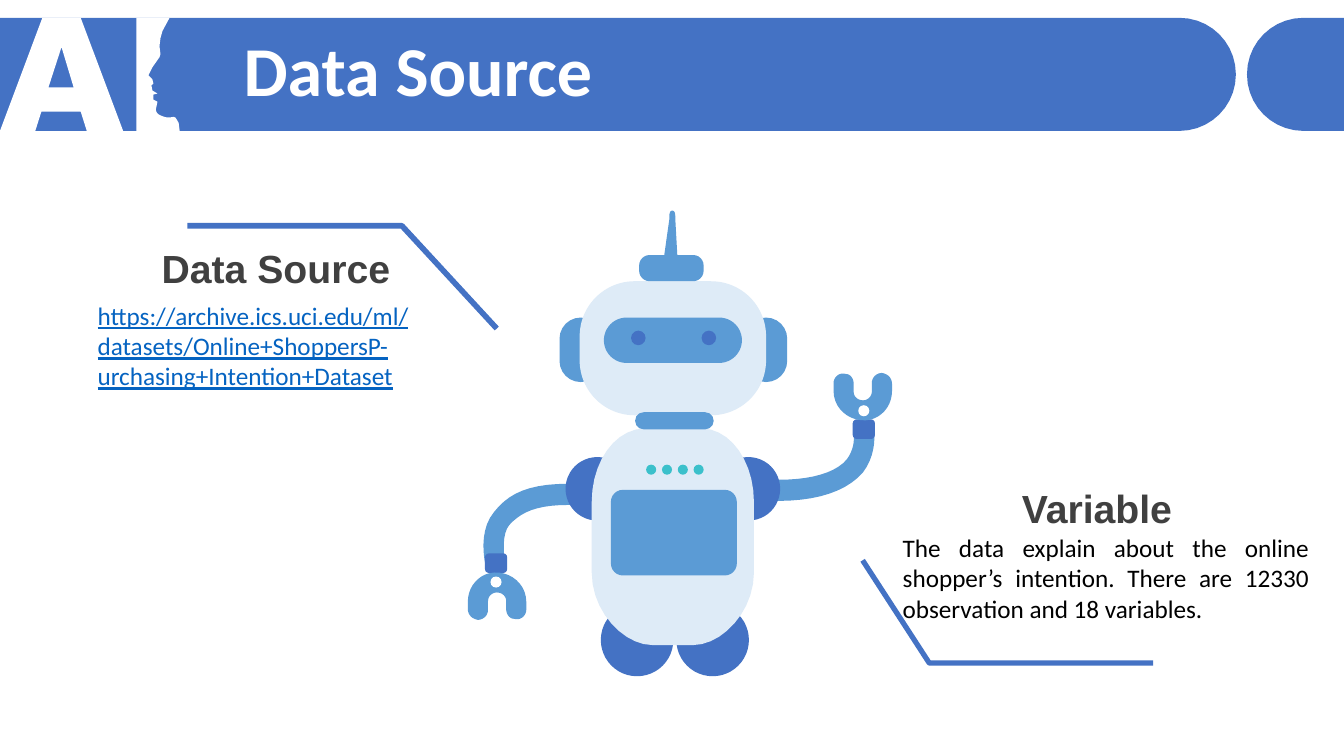
from pptx import Presentation
from pptx.dml.color import RGBColor
from pptx.enum.shapes import MSO_SHAPE
from pptx.enum.text import MSO_ANCHOR, PP_ALIGN
from pptx.util import Cm, Pt

HUES = {
    "blue": "4472C4", "sky": "5B9BD5", "pale": "DEEBF7", "teal": "3BC0CB",
    "white": "FFFFFF", "black": "000000", "gray": "404040", "link": "0563C1",
}
STEPS = 10


def hue(name):
    return RGBColor.from_string(HUES[name])


def paint(shape, name):
    shape.shadow.inherit = False
    shape.fill.solid()
    shape.fill.fore_color.rgb = hue(name)
    shape.line.fill.background()


def bend(start, curve):
    pts = [start, curve[:2], curve[2:4], curve[4:]]
    for step in range(1, STEPS + 1):
        t = step / STEPS
        parts = ((1 - t) ** 3, 3 * t * (1 - t) ** 2, 3 * t * t * (1 - t), t ** 3)
        yield tuple(sum(w * p[k] for w, p in zip(parts, pts)) for k in (0, 1))


def flatten(path):
    pts = []
    for item in path:
        pts.extend([item] if len(item) == 2 else bend(pts[-1], item))
    return pts


def trace(slide, spot, unit, paths, close=True):
    left, top = spot
    maker = None
    for path in paths:
        pts = [(Cm(left + x * unit), Cm(top + y * unit)) for x, y in flatten(path)]
        if maker is None:
            maker = slide.shapes.build_freeform(*pts[0])
        else:
            maker.move_to(*pts[0])
        maker.add_line_segments(pts[1:], close=close)
    return maker.convert_to_shape()


def write(slide, box, text, font, size, color, bold=False, line=False,
          align=PP_ALIGN.LEFT, anchor=MSO_ANCHOR.TOP, space=None):
    frame = slide.shapes.add_textbox(*map(Cm, box)).text_frame
    frame.word_wrap = True
    frame.vertical_anchor = anchor
    frame.text = text
    para = frame.paragraphs[0]
    para.alignment = align
    para.line_spacing = space
    face = para.runs[0].font
    face.name, face.size, face.bold = font, Pt(size), bold
    face.underline = line
    face.color.rgb = hue(color)


def header(slide, box, title):
    left, top, width, height = box
    unit = height / 112
    bar = [(0, 0), (1168, 0), (1199, 0, 1224, 25, 1224, 56),
           (1224, 87, 1199, 112, 1168, 112), (0, 112)]
    end = [(1291, 0), (1333, 0), (1333, 112), (1291, 112),
           (1260, 112, 1235, 87, 1235, 56), (1235, 25, 1260, 0, 1291, 0)]
    letter = [(42, 0), (80, 0), (122, 112), (86, 112), (80, 93), (41, 93),
              (35, 112), (0, 112)]
    hole = [(61, 29), (48, 69), (73, 69)]
    face = [(135, 0), (168, 0), (161, 13), (159, 20), (158, 28), (159, 36),
            (158, 39), (151, 49), (147, 57), (151, 61), (152, 65), (150, 67),
            (151, 72), (156, 75), (152, 76), (152, 81), (156, 83), (155, 88),
            (154, 91, 154, 95, 160, 97), (164, 99, 168, 99, 172, 98),
            (174, 99), (177, 104), (178, 112), (135, 112)]
    for paths, color in (([bar], "blue"), ([letter, hole], "white"),
                         ([face], "white"), ([end], "blue")):
        paint(trace(slide, (left, top), unit, paths), color)
    write(slide, (left + 5.89, top + 0.48, width - 6.7, 2), title, "Calibri", 50,
          "white", bold=True, anchor=MSO_ANCHOR.MIDDLE, space=0.8)


def robot(slide, box):
    left, top, width, height = box
    unit = width / 421

    def part(kind, x, y, w, h, color, curve=None):
        shape = slide.shapes.add_shape(kind, Cm(left + x * unit), Cm(top + y * unit),
                                       Cm(w * unit), Cm(h * unit))
        if curve is not None:
            shape.adjustments[0] = curve
        paint(shape, color)

    def disc(x, y, size, color):
        part(MSO_SHAPE.OVAL, x, y, size, size, color)

    def block(x, y, w, h, color, curve):
        part(MSO_SHAPE.ROUNDED_RECTANGLE, x, y, w, h, color, curve)

    def form(path, color):
        paint(trace(slide, (left, top), unit, [path]), color)

    def claw(x, y, turn):
        def place(px, py):
            return (x + 58 - px, y + 49 - py) if turn else (x + px, y + py)

        grip = [(58, 39), (58, 31), (58, 14, 43, 1, 26, 2), (11, 3, 0, 16, 0, 31),
                (0, 38), (0, 44, 4, 48, 10, 49), (15, 49, 20, 45, 20, 39), (20, 31),
                (20, 26, 23, 23, 27, 22), (33, 21, 38, 25, 38, 30), (38, 38),
                (38, 43, 41, 48, 46, 48), (52, 50, 58, 45, 58, 39)]
        form([place(*pt) for pt in flatten(grip)], "sky")
        px, py = place(28, 11.5)
        disc(px - 5.5, py - 5.5, 11, "white")

    for x in (132, 207):
        disc(x, 390, 72, "blue")
    form([(100, 271), (61, 271, 41, 280, 26, 299), (10, 318, 17, 348, 17, 349),
          (37, 348), (37, 350, 32, 323, 41, 312), (53, 299, 68, 292, 100, 292),
          (106, 292, 110, 287, 110, 281), (111, 275, 106, 271, 100, 271)], "sky")
    form([(308, 288), (348, 288, 376, 278, 392, 260), (407, 240, 403, 219, 403, 218),
          (383, 222), (383, 223, 385, 235, 376, 247), (365, 260, 341, 267, 309, 267),
          (303, 267, 298, 272, 298, 277), (298, 283, 302, 288, 308, 288)], "sky")
    for x, y in ((17, 340), (382, 207)):
        block(x, y, 22, 19.5, "blue", 0.2)
    claw(0, 357, False)
    claw(363, 161, True)
    for x in (97, 247):
        disc(x, 244.5, 63, "blue")
    form([(233, 216), (175, 216), (146, 217, 123, 249, 123, 289), (123, 359),
          (123, 398, 155, 431, 183, 431), (224, 431), (252, 431, 284, 398, 284, 359),
          (284, 289), (284, 249, 261, 217, 233, 216)], "pale")
    for x in (91, 275):
        block(x, 106, 42, 64, "sky", 0.5)
    block(111, 70, 185, 133, "pale", 0.41)
    block(170, 44, 64, 26, "sky", 0.4)
    form([(200, 9), (195, 44), (195, 49, 198, 53, 201, 53), (205, 53, 208, 50, 208, 45),
          (206, 9), (206, 4, 206, 0, 203, 0), (200, 0, 200, 4, 200, 9)], "sky")
    for spot in range(4):
        disc(177 + 15.7 * spot, 252, 10, "teal")
    block(135, 106, 137, 45, "sky", 0.5)
    for x in (162, 232):
        disc(x, 119, 14.5, "blue")
    block(166, 200, 78, 17, "sky", 0.5)
    block(142, 277, 125, 85, "sky", 0.14)


def note(slide, box, lead, weight, head, text, shift, wide, gap, sides, color, line):
    left, top, width, height = box
    wire = trace(slide, (left, top), 1, [lead], close=False)
    wire.shadow.inherit = False
    wire.fill.background()
    wire.line.color.rgb = hue("blue")
    wire.line.width = Pt(weight)
    write(slide, (left, top + gap, width, height - gap), text, "Calibri", 18, color,
          line=line, align=sides[1])
    write(slide, (left + shift, top, wide, 1.45), head, "Arial", 28, "gray",
          bold=True, align=sides[0], anchor=MSO_ANCHOR.MIDDLE)


def main():
    deck = Presentation()
    deck.slide_width, deck.slide_height = Cm(33.87), Cm(19.05)
    slide = deck.slides.add_slide(deck.slide_layouts[6])
    header(slide, (0, 0.45, 33.87, 2.85), "Data Source")
    robot(slide, (11.79, 5.31, 10.69, 11.73))
    note(slide, (2.21, 6.02, 9.17, 3.99), [(10.31, 2.26), (7.92, -0.33), (2.51, -0.33)],
         4, "Data Source",
         "https://archive.ics.uci.edu/ml/datasets/Online+ShoppersP-urchasing+Intention+Dataset",
         0.05, 7.82, 1.42, (PP_ALIGN.RIGHT, PP_ALIGN.LEFT), "link", True)
    note(slide, (22.5, 12.07, 10.74, 4.55), [(-0.76, 2.05), (0.92, 4.64), (6.56, 4.64)],
         3.75, "Variable",
         "The data explain about the online shopper’s intention. "
         "There are 12330 observation and 18 variables.",
         -0.43, 11.15, 1.22, (PP_ALIGN.CENTER, PP_ALIGN.JUSTIFY), "black", False)
    deck.save("out.pptx")


if __name__ == "__main__":
    main()
